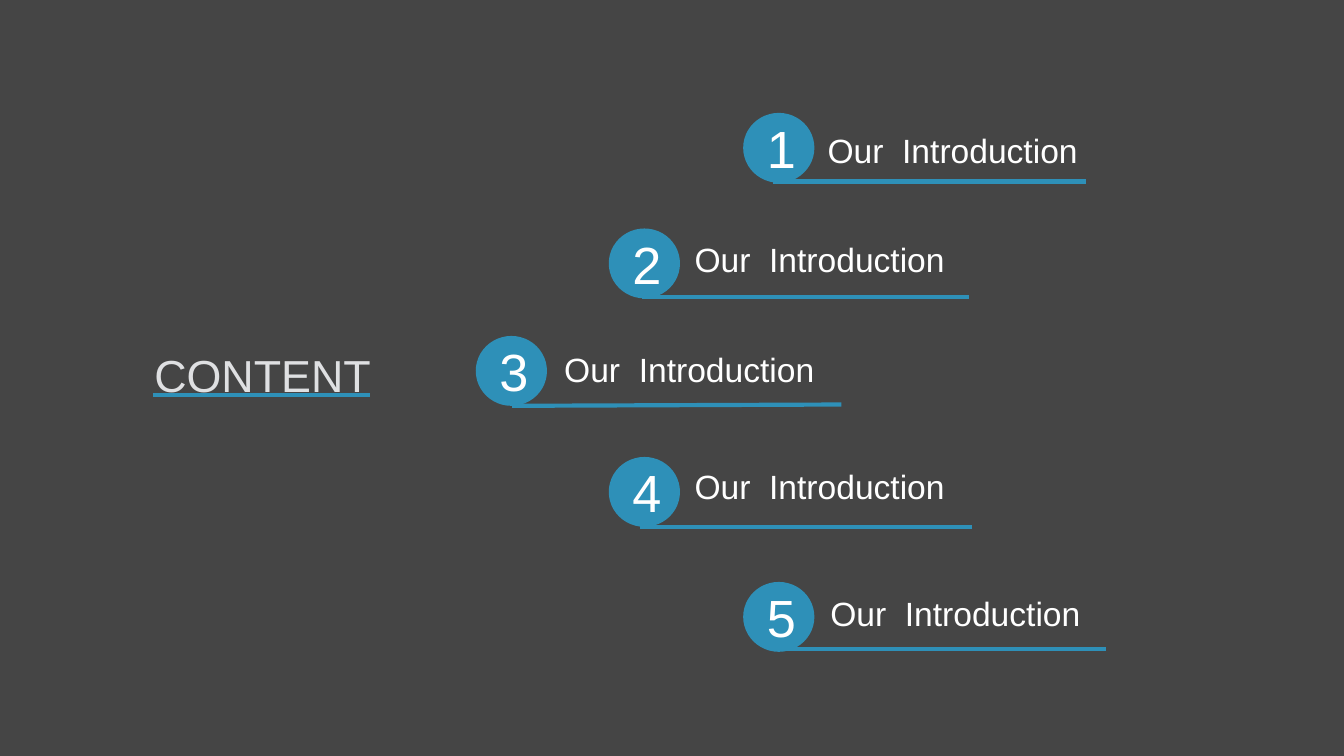
from dataclasses import dataclass

from pptx import Presentation
from pptx.dml.color import RGBColor
from pptx.enum.shapes import MSO_CONNECTOR, MSO_SHAPE
from pptx.enum.text import MSO_ANCHOR, MSO_AUTO_SIZE, PP_ALIGN
from pptx.oxml.ns import qn
from pptx.slide import Slide
from pptx.text.text import TextFrame
from pptx.util import Inches, Pt
from lxml import etree

STRAIGHT = MSO_CONNECTOR.STRAIGHT
OVAL = MSO_SHAPE.OVAL
MIDDLE = MSO_ANCHOR.MIDDLE
CENTER = PP_ALIGN.CENTER
GROW = MSO_AUTO_SIZE.SHAPE_TO_FIT_TEXT

COLORS = {
    "background": "454545",
    "accent": "2E90B8",
    "heading": "DFE0E2",
    "white": "FFFFFF",
}
FONT = "Arial"
BADGE_WIDTH, BADGE_HEIGHT = 0.53, 0.52
ENTRY_WIDTH, ENTRY_HEIGHT = 2.16, 0.4


@dataclass(frozen=True)
class Entry:
    badge_left: float
    badge_top: float
    title_left: float
    title_top: float
    rule_start: tuple[float, float]
    rule_end: tuple[float, float]
    title: str = "Our  Introduction"


ENTRIES = [
    Entry(5.53, 0.84, 6.06, 0.92, (5.75, 1.35), (8.08, 1.35)),
    Entry(4.53, 1.70, 5.07, 1.73, (4.78, 2.21), (7.21, 2.21)),
    Entry(3.54, 2.50, 4.10, 2.55, (3.81, 3.02), (6.26, 3.01)),
    Entry(4.53, 3.40, 5.07, 3.42, (4.76, 3.92), (7.23, 3.92)),
    Entry(5.53, 4.33, 6.08, 4.36, (5.75, 4.83), (8.23, 4.83)),
]


def rgb(name: str) -> RGBColor:
    return RGBColor.from_string(COLORS[name])


def write(frame: TextFrame, text: str, size: float, color: str) -> None:
    frame.text = text
    frame.word_wrap = True
    font = frame.paragraphs[0].runs[0].font
    font.name = FONT
    font.size = Pt(size)
    font.color.rgb = rgb(color)


def add_text(slide: Slide, left: float, top: float, width: float, height: float,
             text: str, size: float, color: str) -> None:
    label = slide.shapes.add_textbox(
        Inches(left), Inches(top), Inches(width), Inches(height))
    write(label.text_frame, text, size, color)
    label.text_frame.auto_size = GROW


def add_rule(slide: Slide, start: tuple[float, float], end: tuple[float, float]) -> None:
    rule = slide.shapes.add_connector(
        STRAIGHT, *(Inches(value) for value in start + end))
    rule.line.color.rgb = rgb("accent")
    rule.line.width = Pt(2.25)
    etree.SubElement(rule.element.spPr, qn("a:effectLst"))


def add_badge(slide: Slide, left: float, top: float, number: int) -> None:
    badge = slide.shapes.add_shape(
        OVAL, Inches(left), Inches(top), Inches(BADGE_WIDTH), Inches(BADGE_HEIGHT))
    badge.shadow.inherit = False
    badge.fill.solid()
    badge.fill.fore_color.rgb = rgb("accent")
    badge.line.fill.background()
    write(badge.text_frame, str(number), 28, "white")
    badge.text_frame.vertical_anchor = MIDDLE
    badge.text_frame.paragraphs[0].alignment = CENTER


def add_entry(slide: Slide, number: int, entry: Entry) -> None:
    add_badge(slide, entry.badge_left, entry.badge_top, number)
    add_rule(slide, entry.rule_start, entry.rule_end)
    add_text(slide, entry.title_left, entry.title_top, ENTRY_WIDTH, ENTRY_HEIGHT,
             entry.title, 18, "white")


deck = Presentation()
deck.slide_width = Inches(10)
deck.slide_height = Inches(10 * 9 / 16)
contents = deck.slides.add_slide(deck.slide_layouts[6])
contents.background.fill.solid()
contents.background.fill.fore_color.rgb = rgb("background")

add_text(contents, 1.05, 2.54, 1.93, 0.5, "CONTENT", 24, "heading")
for number, entry in enumerate(ENTRIES, start=1):
    add_entry(contents, number, entry)
add_rule(contents, (1.14, 2.94), (2.75, 2.94))

deck.save("out.pptx")
